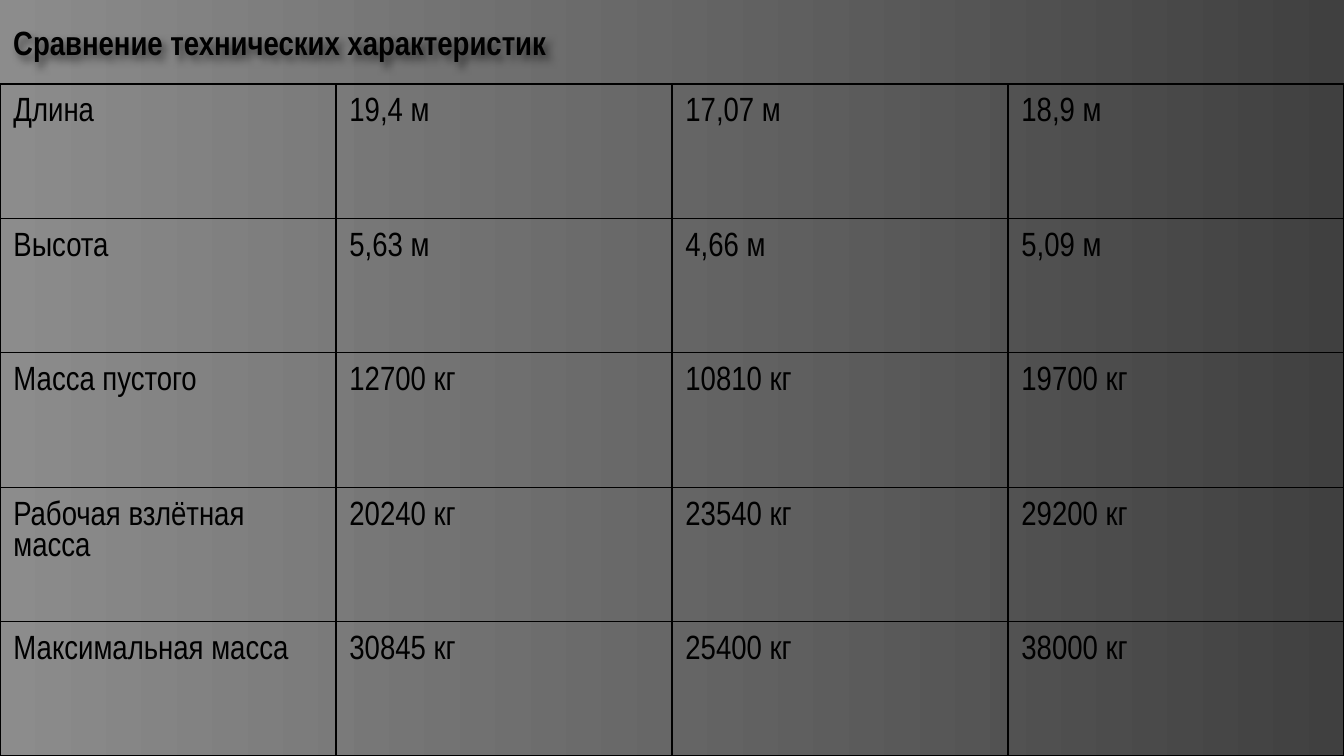
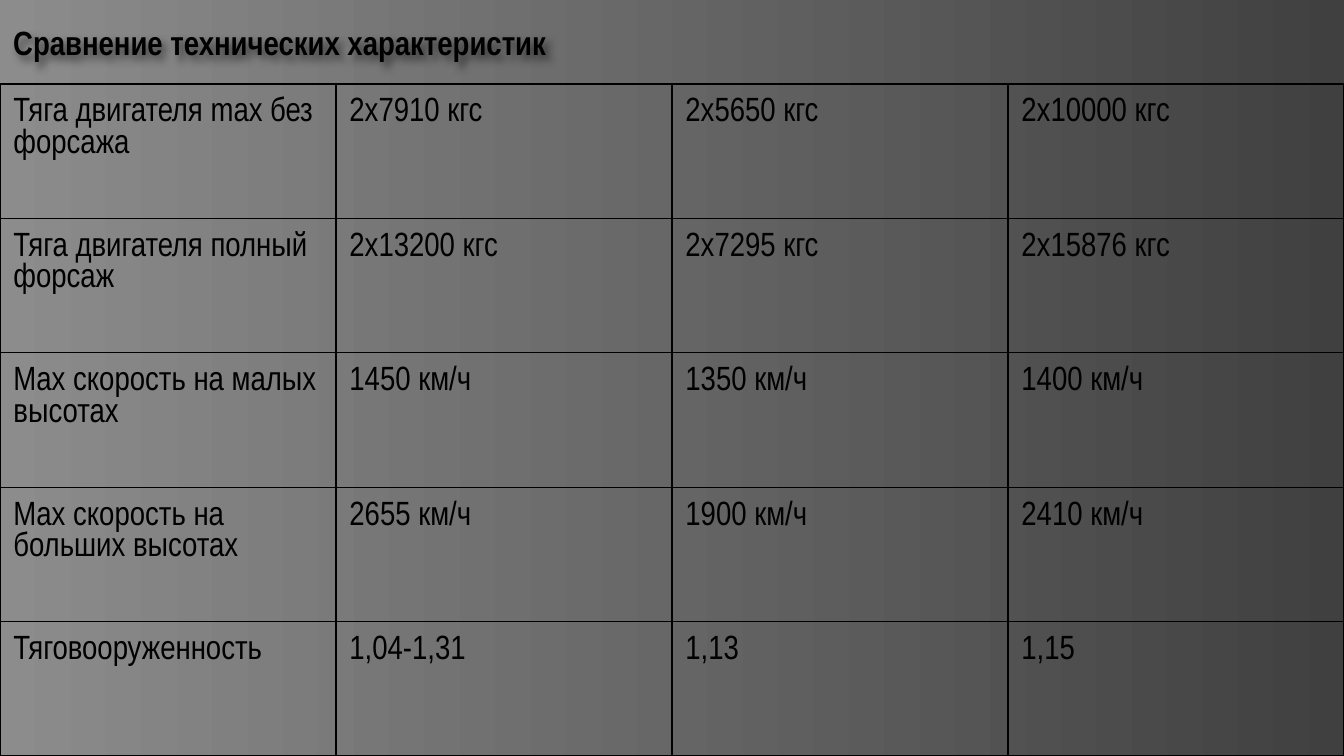
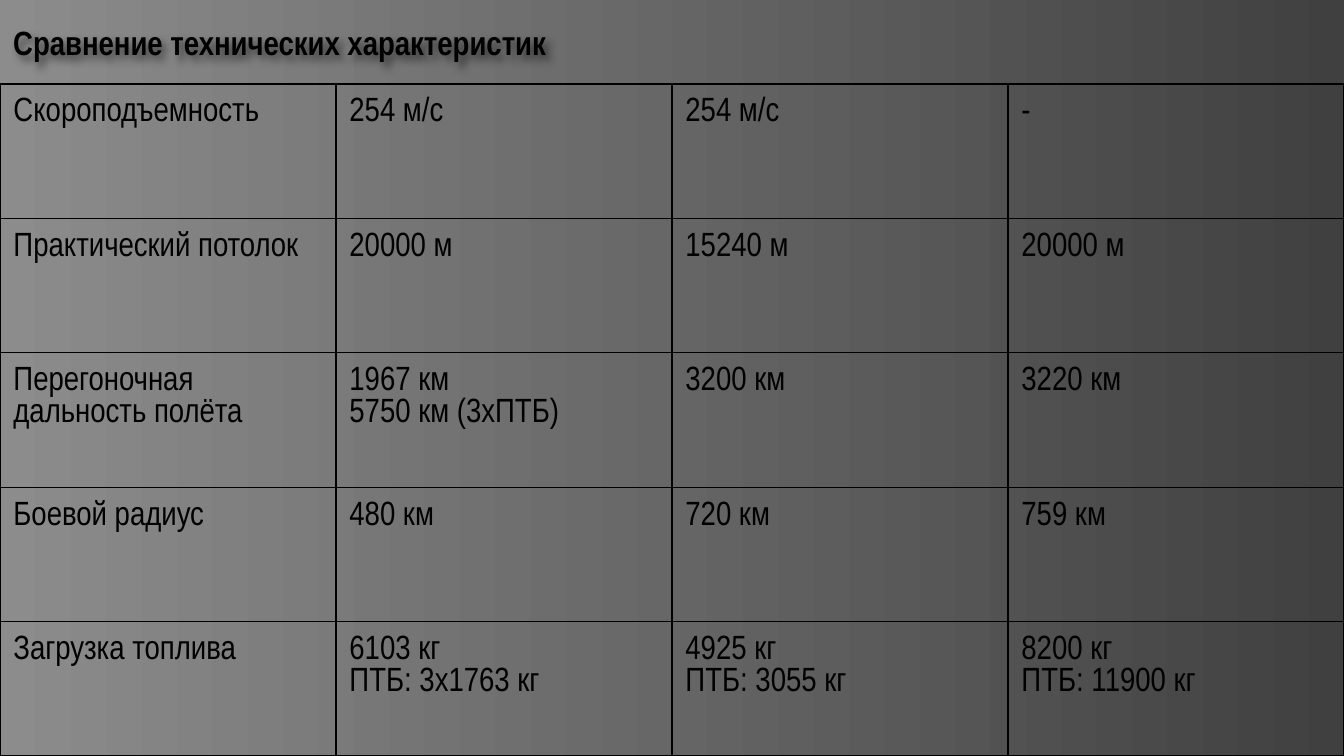
"""Build three slides comparing the technical data of three aircraft."""
from lxml.etree import SubElement
from pptx import Presentation
from pptx.dml.color import RGBColor
from pptx.enum.text import MSO_ANCHOR
from pptx.oxml import parse_xml
from pptx.oxml.ns import nsdecls, qn
from pptx.util import Inches, Pt

BLACK = RGBColor(0x00, 0x00, 0x00)
LIGHT_GREY = RGBColor(0x8C, 0x8C, 0x8C)
DARK_GREY = RGBColor(0x40, 0x40, 0x40)

FONT = "Arial Narrow"
INSET = Inches(0.1)
GRID_COLS, GRID_ROWS = 4, 9
TITLE = "Сравнение технических характеристик"

SIZE_AND_MASS = [
    ["Длина", "19,4 м", "17,07 м", "18,9 м"],
    ["Высота", "5,63 м", "4,66 м", "5,09 м"],
    ["Масса пустого", "12700 кг", "10810 кг", "19700 кг"],
    ["Рабочая взлётная масса", "20240 кг", "23540 кг", "29200 кг"],
    ["Максимальная масса", "30845 кг", "25400 кг", "38000 кг"],
]
THRUST_AND_SPEED = [
    ["Тяга двигателя max без форсажа", "2х7910 кгс", "2х5650 кгс", "2х10000 кгс"],
    ["Тяга двигателя полный форсаж", "2х13200 кгс", "2х7295 кгс", "2х15876 кгс"],
    ["Max скорость на малых высотах", "1450 км/ч", "1350 км/ч", "1400 км/ч"],
    ["Max скорость на больших высотах", "2655 км/ч", "1900 км/ч", "2410 км/ч"],
    ["Тяговооруженность", "1,04-1,31", "1,13", "1,15"],
]
RANGE_AND_FUEL = [
    ["Скороподъемность", "254 м/с", "254 м/с", "-"],
    ["Практический потолок", "20000 м", "15240 м", "20000 м"],
    ["Перегоночная дальность полёта", "1967 км\v5750 км (3хПТБ)", "3200 км", "3220 км"],
    ["Боевой радиус", "480 км", "720 км", "759 км"],
    ["Загрузка топлива", "6103 кг\vПТБ: 3х1763 кг", "4925 кг\nПТБ: 3055 кг",
     "8200 кг\vПТБ: 11900 кг"],
]


def write(tf, text, size=18, bold=False, color=BLACK):
    tf.text = text
    for p in tf.paragraphs:
        for r in p.runs:
            r.font.name, r.font.size = FONT, Pt(size)
            r.font.bold, r.font.color.rgb = bold, color


class Deck:
    def __init__(self):
        self.prs = Presentation()
        self.prs.slide_width, self.prs.slide_height = Inches(10), Inches(5.625)
        self.col = self.prs.slide_width // GRID_COLS
        self.row = self.prs.slide_height // GRID_ROWS
        self.s = None

    def area(self, col, row, cols, rows):
        return col * self.col, row * self.row, cols * self.col, rows * self.row

    def slide(self):
        self.s = self.prs.slides.add_slide(self.prs.slide_layouts[6])
        fill = self.s.background.fill
        fill.gradient()
        fill.gradient_angle = 0
        for stop, color in zip(fill.gradient_stops, (LIGHT_GREY, DARK_GREY)):
            stop.color.rgb = color

    def title(self, text):
        sp = self.s.shapes.add_textbox(*self.area(0, 0, GRID_COLS, 1))
        tf = sp.text_frame
        tf.word_wrap = True
        tf.vertical_anchor = MSO_ANCHOR.MIDDLE
        tf.margin_left = tf.margin_right = tf.margin_top = tf.margin_bottom = INSET
        write(tf, text, bold=True)
        sp._element.spPr.append(parse_xml(
            f'<a:effectLst {nsdecls("a")}><a:outerShdw blurRad="{Pt(4)}" '
            f'dist="{Pt(3)}" dir="2700000"><a:srgbClr val="{BLACK}">'
            '<a:alpha val="50000"/></a:srgbClr></a:outerShdw></a:effectLst>'))

    def borders(self, cell):
        tc_pr = cell._tc.get_or_add_tcPr()
        for side in ("a:lnL", "a:lnR", "a:lnT", "a:lnB"):
            ln = SubElement(tc_pr, qn(side), w=str(Pt(0.75)))
            SubElement(SubElement(ln, qn("a:solidFill")), qn("a:srgbClr"), val=str(BLACK))

    def table(self, data):
        area = self.area(0, 1, GRID_COLS, GRID_ROWS - 1)
        table = self.s.shapes.add_table(len(data), len(data[0]), *area).table
        table.first_row = table.horz_banding = False
        for r, values in enumerate(data):
            for c, value in enumerate(values):
                cell = table.cell(r, c)
                cell.margin_left = cell.margin_right = INSET
                cell.margin_top = cell.margin_bottom = INSET
                self.borders(cell)
                cell.fill.background()
                write(cell.text_frame, value)


def main():
    deck = Deck()
    for data in (SIZE_AND_MASS, THRUST_AND_SPEED, RANGE_AND_FUEL):
        deck.slide()
        deck.title(TITLE)
        deck.table(data)
    deck.prs.save("out.pptx")


if __name__ == "__main__":
    main()
